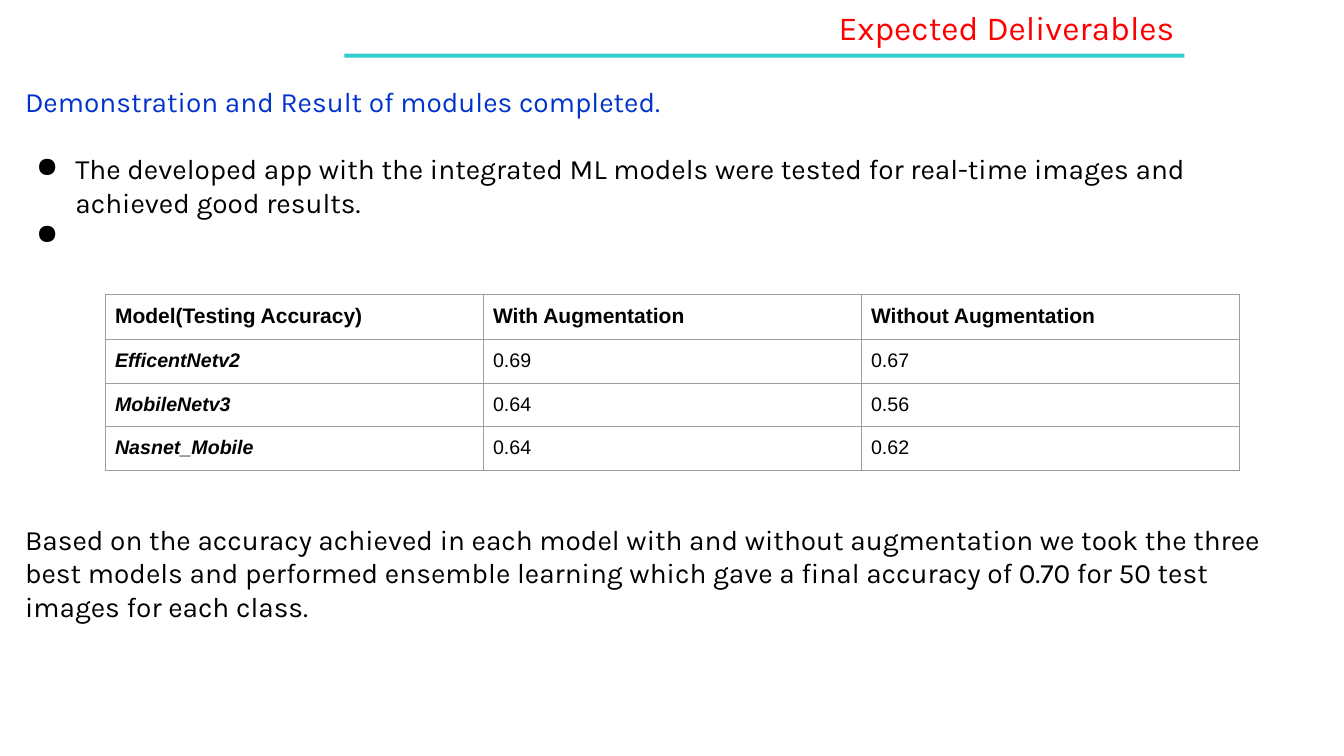
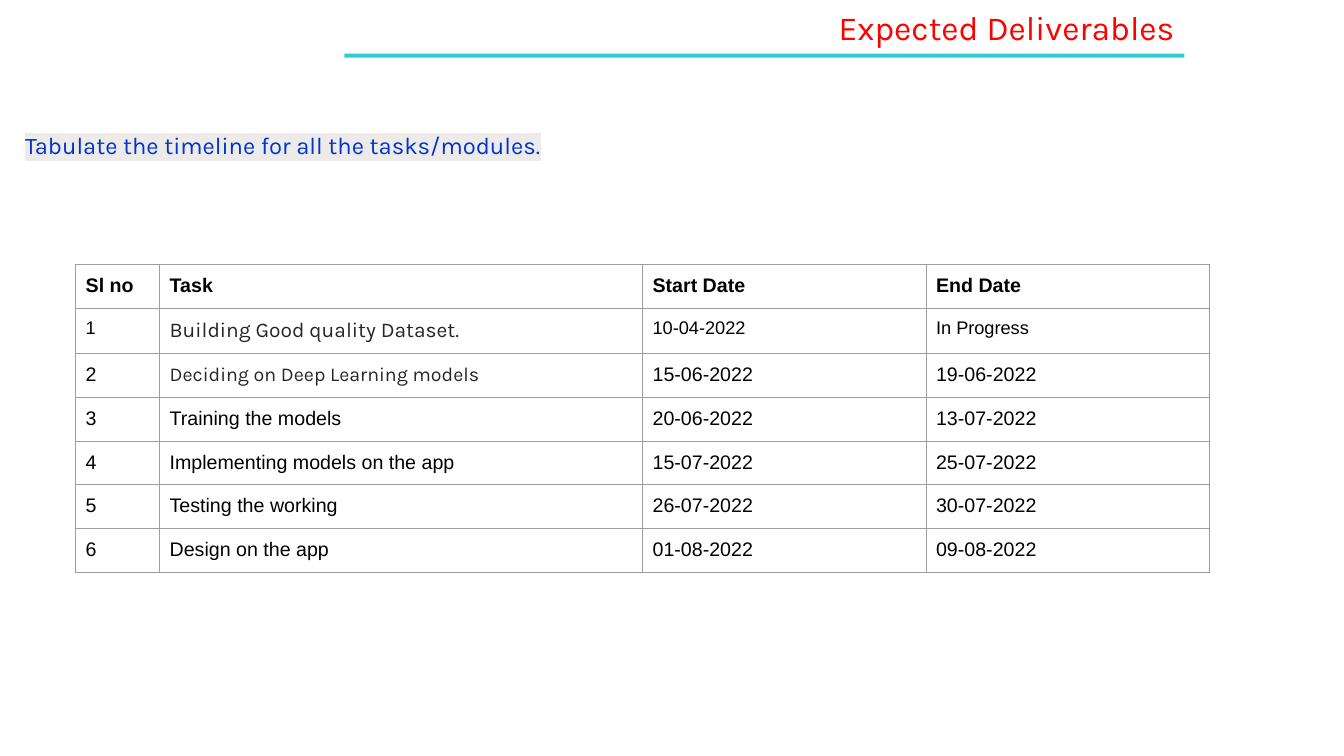
"""Build two project slides on expected deliverables with result and timeline tables."""
from dataclasses import dataclass, replace

from lxml.etree import SubElement
from pptx import Presentation
from pptx.dml.color import RGBColor
from pptx.enum.shapes import MSO_SHAPE as Preset
from pptx.enum.text import PP_ALIGN as Align
from pptx.oxml import parse_xml
from pptx.oxml.ns import nsdecls, qn
from pptx.presentation import Presentation as Deck
from pptx.slide import Slide
from pptx.table import _Cell as Cell
from pptx.text.text import _Paragraph as Paragraph
from pptx.util import Pt


@dataclass(frozen=True)
class TextStyle:
    size: float
    color: str
    font: str
    bold: bool = False
    italic: bool = False


@dataclass(frozen=True)
class Theme:
    bar: str = "33CCCC"
    border: str = "9E9E9E"
    highlight: str = "EDEBE9"
    black: str = "000000"
    title: TextStyle = TextStyle(24, "FF0000", "Karla")
    heading: TextStyle = TextStyle(20, "0033CC", "Karla")
    subheading: TextStyle = TextStyle(17, "0033CC", "Karla")
    body: TextStyle = TextStyle(20, "000000", "Karla")
    cell: TextStyle = TextStyle(14, "000000", "Arial")
    small_cell: TextStyle = TextStyle(13, "000000", "Arial")
    head: TextStyle = TextStyle(14, "000000", "Arial", bold=True)
    large_head: TextStyle = TextStyle(15, "000000", "Arial", bold=True)
    model: TextStyle = TextStyle(14, "000000", "Arial", bold=True, italic=True)
    task: TextStyle = TextStyle(14, "262626", "Karla")


THEME = Theme()


@dataclass(frozen=True)
class Area:
    left: float
    top: float
    width: float
    height: float

    def lengths(self) -> tuple[Pt, Pt, Pt, Pt]:
        return Pt(self.left), Pt(self.top), Pt(self.width), Pt(self.height)


@dataclass(frozen=True)
class Line:
    text: str
    style: TextStyle
    before: float = 0
    bullet: bool = False
    align: Align = Align.LEFT
    highlight: str = ""


@dataclass(frozen=True)
class Grid:
    left: float
    top: float
    widths: tuple[float, ...]
    rows: list[list[Line]]
    row_height: float = 30.24


TITLE_AREA = Area(234, 1.4, 612, 36)
BAR_AREA = Area(246, 38.3, 600, 2.8)
RESULTS_AREA = Area(10.8, 56.9, 907.2, 400)
TIMELINE_AREA = Area(10.8, 90, 907.2, 27)


def style_paragraph(para: Paragraph, style: TextStyle) -> None:
    para.font.size = Pt(style.size)
    para.font.name = style.font
    para.font.bold = style.bold
    para.font.italic = style.italic
    para.font.color.rgb = RGBColor.from_string(style.color)


def add_bullet(para: Paragraph) -> None:
    props = para._p.get_or_add_pPr()
    props.set("marL", str(Pt(36)))
    props.set("indent", str(Pt(-28)))
    color = SubElement(props, qn("a:buClr"))
    SubElement(color, qn("a:srgbClr"), val=THEME.black)
    SubElement(props, qn("a:buChar"), char="●")


def write_line(para: Paragraph, line: Line) -> None:
    if line.bullet:
        add_bullet(para)
    para.alignment = line.align
    para.space_before = Pt(line.before)
    span = para.add_run()
    span.text = line.text
    if line.highlight:
        mark = SubElement(span._r.get_or_add_rPr(), qn("a:highlight"))
        SubElement(mark, qn("a:srgbClr"), val=line.highlight)
    style_paragraph(para, line.style)


def add_text(page: Slide, area: Area, lines: list[Line]) -> None:
    frame = page.shapes.add_textbox(*area.lengths()).text_frame
    frame.word_wrap = True
    for index, line in enumerate(lines):
        para = frame.add_paragraph() if index else frame.paragraphs[0]
        write_line(para, line)


def outline_cell(cell: Cell) -> None:
    props = cell._tc.get_or_add_tcPr()
    for index, side in enumerate(("lnL", "lnR", "lnT", "lnB")):
        border = parse_xml(
            f'<a:{side} {nsdecls("a")} w="{Pt(0.75)}"><a:solidFill>'
            f'<a:srgbClr val="{THEME.border}"/></a:solidFill></a:{side}>'
        )
        props.insert(index, border)


def add_grid(page: Slide, grid: Grid) -> None:
    count = len(grid.rows)
    area = Area(grid.left, grid.top, sum(grid.widths), count * grid.row_height)
    table = page.shapes.add_table(count, len(grid.widths), *area.lengths()).table
    table.first_row = table.horz_banding = False
    for column, width in zip(table.columns, grid.widths):
        column.width = Pt(width)
    for row, lines in zip(table.rows, grid.rows):
        row.height = Pt(grid.row_height)
        for cell, line in zip(row.cells, lines):
            cell.margin_left = cell.margin_right = Pt(7.2)
            cell.margin_top = cell.margin_bottom = Pt(7.2)
            cell.fill.background()
            outline_cell(cell)
            write_line(cell.text_frame.paragraphs[0], line)


def add_page(deck: Deck) -> Slide:
    page = deck.slides.add_slide(deck.slide_layouts[6])
    bar = page.shapes.add_shape(Preset.RECTANGLE, *BAR_AREA.lengths())
    bar.shadow.inherit = False
    bar.fill.solid()
    bar.fill.fore_color.rgb = RGBColor.from_string(THEME.bar)
    bar.line.fill.background()
    title = Line("Expected Deliverables", THEME.title, align=Align.RIGHT)
    add_text(page, TITLE_AREA, [title])
    return page


def styled_row(texts: tuple[str, ...], *styles: TextStyle) -> list[Line]:
    """Style the cells in order, with the last style kept for the rest."""
    padded = styles + styles[-1:] * (len(texts) - len(styles))
    return [Line(text, style) for text, style in zip(texts, padded)]


def build_results(deck: Deck) -> None:
    page = add_page(deck)
    add_text(page, RESULTS_AREA, [
        Line("Demonstration and Result of modules completed.", THEME.heading),
        Line("The developed app with the integrated ML models were tested for "
             "real-time images and achieved good results.",
             THEME.body, before=24, bullet=True),
        Line(" ", THEME.body, bullet=True),
        Line("Based on the accuracy achieved in each model with and without "
             "augmentation we took the three best models and performed ensemble "
             "learning which gave a final accuracy of 0.70 for 50 test images "
             "for each class.", THEME.body, before=192.5),
    ])
    header = ("Model(Testing Accuracy)", "With Augmentation", "Without Augmentation")
    scores = [
        ("EfficentNetv2", "0.69", "0.67"),
        ("MobileNetv3", "0.64", "0.56"),
        ("Nasnet_Mobile", "0.64", "0.62"),
    ]
    rows = [styled_row(header, THEME.large_head)]
    rows += [styled_row(score, THEME.model, THEME.cell) for score in scores]
    add_grid(page, Grid(75, 210, (270,) * 3, rows))


def build_timeline(deck: Deck) -> None:
    page = add_page(deck)
    add_text(page, TIMELINE_AREA, [
        Line("Tabulate the timeline for all the tasks/modules.",
             THEME.subheading, highlight=THEME.highlight),
    ])
    dataset = ("1", "Building Good quality Dataset.", "10-04-2022", "In Progress")
    decision = ("2", "Deciding on Deep Learning models", "15-06-2022", "19-06-2022")
    tasks = [
        ("3", "Training the models", "20-06-2022", "13-07-2022"),
        ("4", "Implementing models on the app", "15-07-2022", "25-07-2022"),
        ("5", "Testing the working", "26-07-2022", "30-07-2022"),
        ("6", "Design on the app", "01-08-2022", "09-08-2022"),
    ]
    large_task = replace(THEME.task, size=15)
    rows = [
        styled_row(("Sl no", "Task", "Start Date", "End Date"), THEME.head),
        styled_row(dataset, THEME.small_cell, large_task, THEME.small_cell),
        styled_row(decision, THEME.cell, THEME.task, THEME.cell),
    ]
    rows += [styled_row(task, THEME.cell) for task in tasks]
    add_grid(page, Grid(54, 189, (60, 345, 202.5, 202.5), rows))


def main() -> None:
    deck = Presentation()
    deck.slide_width, deck.slide_height = Pt(960), Pt(540)
    build_results(deck)
    build_timeline(deck)
    deck.save("out.pptx")


if __name__ == "__main__":
    main()
